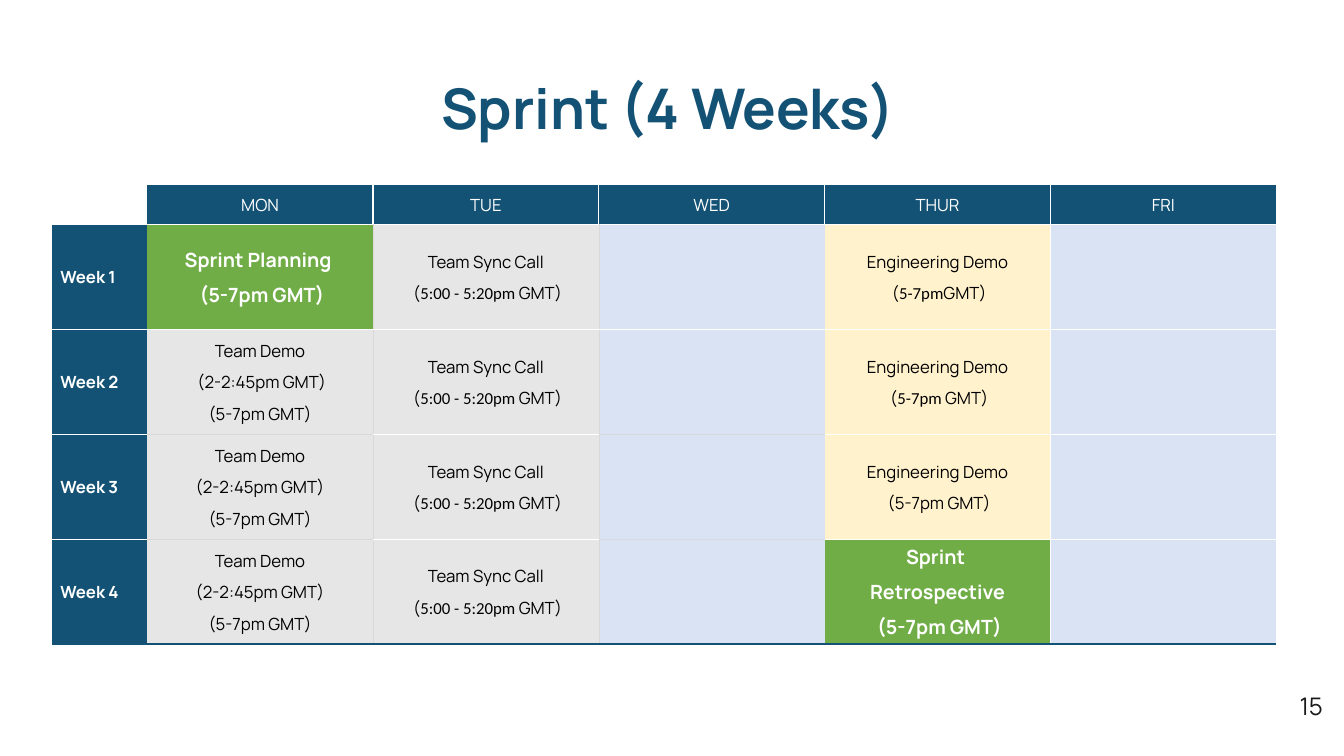
from dataclasses import dataclass

from lxml import etree
from pptx import Presentation
from pptx.dml.color import RGBColor
from pptx.enum.text import MSO_ANCHOR, PP_ALIGN
from pptx.oxml.ns import qn
from pptx.util import Inches, Pt

LEFT, CENTER, RIGHT = PP_ALIGN.LEFT, PP_ALIGN.CENTER, PP_ALIGN.RIGHT
TOP, MIDDLE = MSO_ANCHOR.TOP, MSO_ANCHOR.MIDDLE

NAVY, WHITE, BLACK, INK = "145275", "FFFFFF", "000000", "1A1A1A"
GREEN, GREY, BLUE, CREAM, RULE = "70AD47", "E7E6E6", "DAE3F3", "FFF2CC", "D9D9D9"
FONT, TIME_FONT = "Manrope", "Calibri"

COL_WIDTHS = [0.94] + [2.24] * 5
ROW_HEIGHTS = [0.39] + [1.04] * 4
LAST_ROW = len(ROW_HEIGHTS)


@dataclass(frozen=True)
class Style:
    size: float
    color: str
    bold: bool = False
    align: PP_ALIGN = CENTER
    fill: str | None = None
    after: float = 0
    margins: tuple[float, ...] = (0.01, 0.01, 0.01, 0)


@dataclass(frozen=True)
class Entry:
    style: Style
    lines: tuple[str, ...] = ()


@dataclass(frozen=True)
class Label:
    box: tuple[float, float, float, float]
    text: str
    style: Style
    anchor: MSO_ANCHOR


DAY = Style(12, WHITE, fill=NAVY, margins=(0.1, 0.05, 0.1, 0.05))
WEEK = Style(12, WHITE, True, LEFT, NAVY, margins=(0.08, 0.04, 0.04, 0.04))
MILESTONE = Style(14, WHITE, True, fill=GREEN, after=6)
TEAM = Style(12, BLACK, fill=GREY, after=6)
ENGINEERING = Style(12, BLACK, fill=CREAM, after=6)

CORNER = Entry(Style(12, BLACK))
FREE = Entry(Style(12, BLACK, fill=BLUE))
SYNC = Entry(TEAM, ("Team Sync Call", " (|5:00 - 5:20pm| GMT)"))
PLANNING = Entry(MILESTONE, ("Sprint Planning ", " (5-7pm GMT)"))
RETRO = Entry(MILESTONE, ("Sprint ", "Retrospective", " (5-7pm GMT)"))


def team_demo(first: str) -> Entry:
    return Entry(TEAM, ("Team Demo", first, "(5-7pm GMT)"))


def engineering_demo(time: str) -> Entry:
    return Entry(ENGINEERING, ("Engineering Demo", time))


MONDAYS = [PLANNING, team_demo(" (2-2:45pm GMT)")] + [team_demo("(2-2:45pm GMT)")] * 2
THURSDAYS = [
    engineering_demo(" (|5-7pm|GMT)"),
    engineering_demo(" (|5-7pm| GMT)"),
    engineering_demo(" (5-7pm GMT)"),
    RETRO,
]
SCHEDULE = [[CORNER] + [Entry(DAY, (d,)) for d in ("MON", "TUE", "WED", "THUR", "FRI")]]
for week, (monday, thursday) in enumerate(zip(MONDAYS, THURSDAYS), 1):
    SCHEDULE.append([Entry(WEEK, (f"Week {week}",)), monday, SYNC, FREE, thursday, FREE])

LABELS = [
    Label((12.42, 6.72, 0.8, 0.57), "15",
          Style(17.3, INK, align=RIGHT, margins=(0.1, 0.1, 0.1, 0.1)), MIDDLE),
    Label((0.28, 0.73, 12.8, 0.76), "Sprint (4 Weeks) ",
          Style(40, NAVY, True, margins=(0.1, 0, 0.1, 0)), TOP),
]


def rgb(value: str) -> RGBColor:
    return RGBColor.from_string(value)


def set_margins(target, margins: tuple[float, ...]) -> None:
    for side, value in zip(("left", "top", "right", "bottom"), margins):
        setattr(target, f"margin_{side}", Inches(value))


def write_lines(tf, lines: tuple[str, ...], style: Style) -> None:
    for i, line in enumerate(lines):
        p = tf.paragraphs[0] if i == 0 else tf.add_paragraph()
        p.alignment = style.align
        p.space_after = Pt(style.after)
        for j, part in enumerate(line.split("|")):
            r = p.add_run()
            r.text = part
            formats = {"name": TIME_FONT if j % 2 else FONT,
                       "size": Pt(style.size), "bold": style.bold}
            for name, value in formats.items():
                setattr(r.font, name, value)
            r.font.color.rgb = rgb(style.color)


def column_edge(edge: int, row: int) -> str | None:
    if edge in (0, 1, len(COL_WIDTHS)):
        return None
    if row == 0 or edge == 5:
        return WHITE
    return RULE if edge in (2, 3) else None


def row_edge(edge: int, col: int) -> str | None:
    if edge == 0:
        return None
    if edge == LAST_ROW:
        return NAVY
    return RULE if edge >= 3 and col in (1, 3) else WHITE


def set_borders(cell, row: int, col: int) -> None:
    edges = {"L": column_edge(col, row), "R": column_edge(col + 1, row),
             "T": row_edge(row, col), "B": row_edge(row + 1, col)}
    tc_pr = cell._tc.get_or_add_tcPr()
    for i, (side, color) in enumerate(edges.items()):
        ln = etree.Element(qn(f"a:ln{side}"), w=str(Pt(0.5 if color == RULE else 1)))
        if color:
            solid = etree.SubElement(ln, qn("a:solidFill"))
            etree.SubElement(solid, qn("a:srgbClr"), val=color)
        else:
            etree.SubElement(ln, qn("a:noFill"))
        tc_pr.insert(i, ln)


def add_label(s, label: Label) -> None:
    sp = s.shapes.add_textbox(*map(Inches, label.box))
    tf = sp.text_frame
    tf.word_wrap = True
    tf.vertical_anchor = label.anchor
    set_margins(tf, label.style.margins)
    write_lines(tf, (label.text,), label.style)


def add_schedule(s) -> None:
    box = map(Inches, (0.52, 1.84, sum(COL_WIDTHS), sum(ROW_HEIGHTS)))
    table = s.shapes.add_table(LAST_ROW, len(COL_WIDTHS), *box).table
    table.first_row = table.horz_banding = False
    for column, width in zip(table.columns, COL_WIDTHS):
        column.width = Inches(width)
    for row, height in zip(table.rows, ROW_HEIGHTS):
        row.height = Inches(height)
    for i, entries in enumerate(SCHEDULE):
        for j, entry in enumerate(entries):
            cell = table.cell(i, j)
            cell.vertical_anchor = MIDDLE
            set_margins(cell, entry.style.margins)
            if entry.style.fill:
                cell.fill.solid()
                cell.fill.fore_color.rgb = rgb(entry.style.fill)
            else:
                cell.fill.background()
            write_lines(cell.text_frame, entry.lines, entry.style)
            set_borders(cell, i, j)


def main() -> None:
    prs = Presentation()
    prs.slide_width, prs.slide_height = Inches(13.33), Inches(7.5)
    s = prs.slides.add_slide(prs.slide_layouts[6])
    for label in LABELS:
        add_label(s, label)
    add_schedule(s)
    prs.save("out.pptx")


if __name__ == "__main__":
    main()
